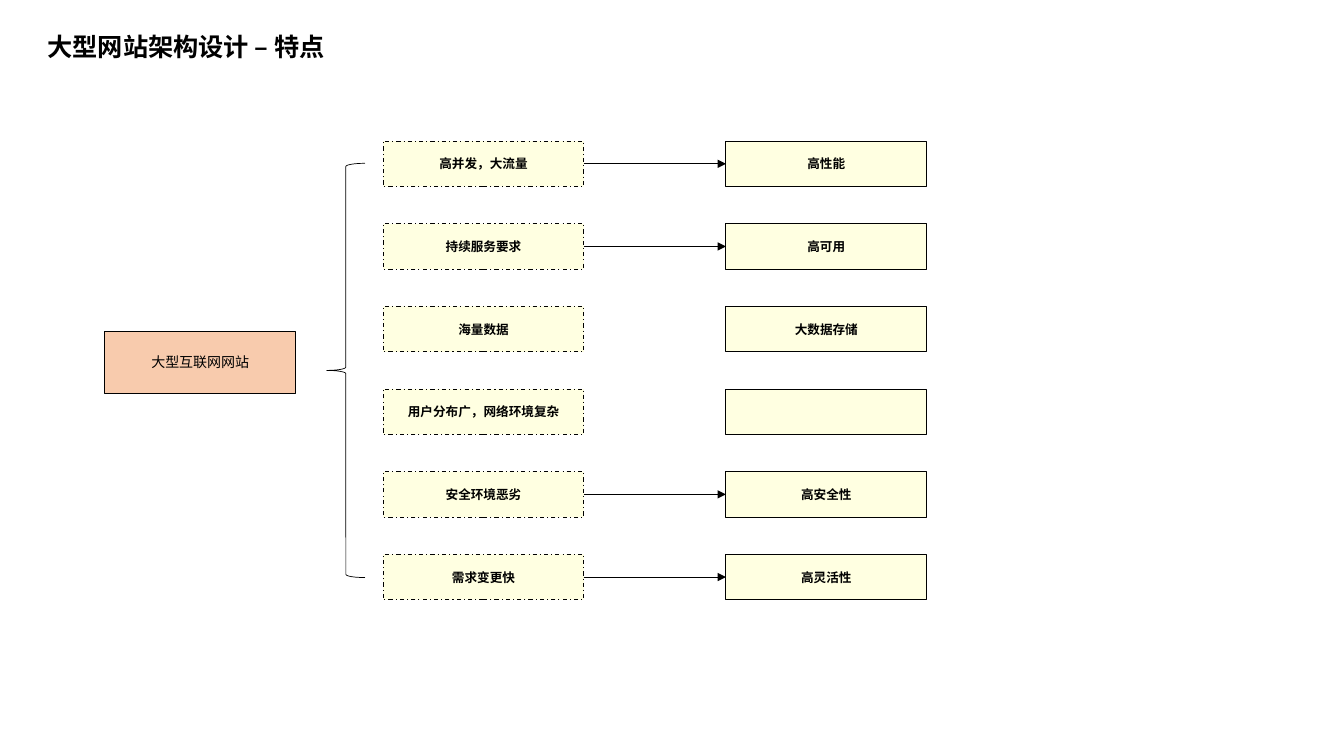
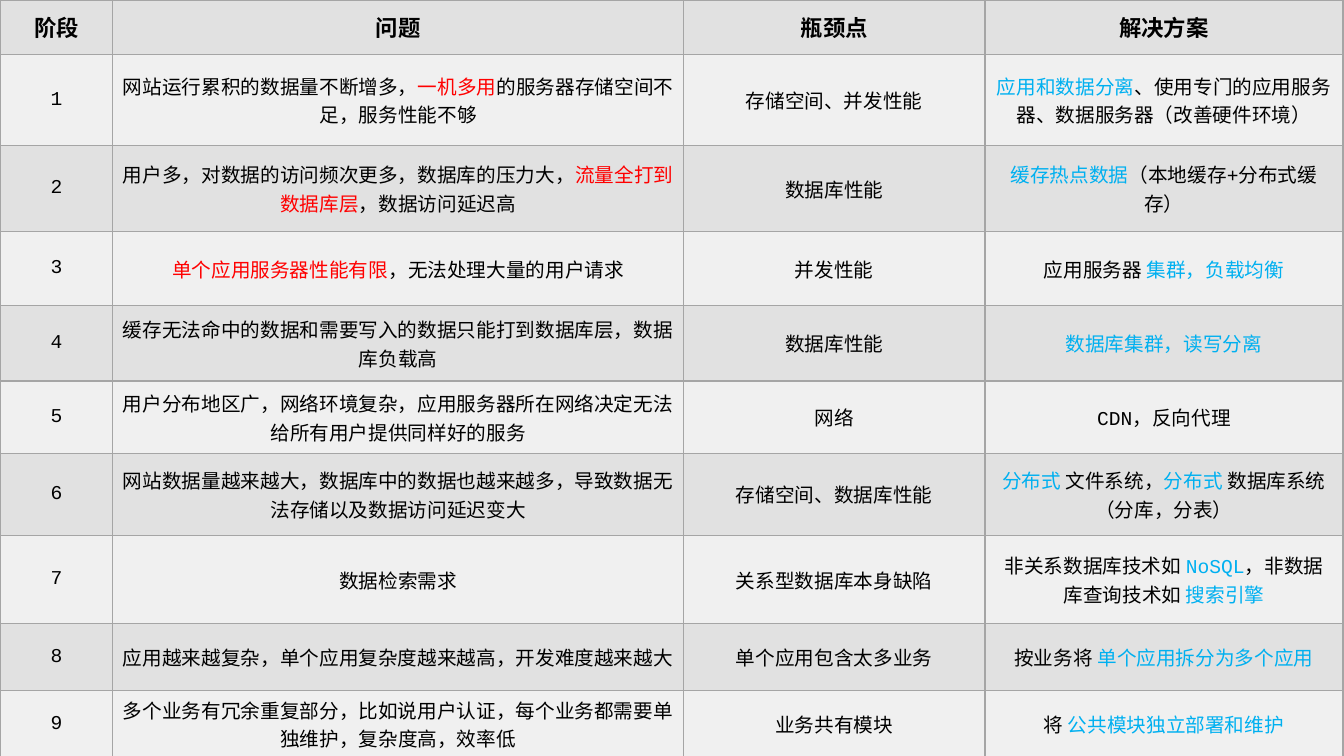
from lxml import etree
from pptx import Presentation
from pptx.dml.color import RGBColor
from pptx.enum import dml, shapes, text
from pptx.oxml.ns import qn
from pptx.util import Inches, Pt

# Shared look
BLACK = RGBColor(0x00, 0x00, 0x00)
RED = RGBColor(0xFF, 0x00, 0x00)
BLUE = RGBColor(0x00, 0xB0, 0xF0)
PEACH = RGBColor(0xF8, 0xCB, 0xAD)
CREAM = RGBColor(0xFF, 0xFF, 0xE1)
DARK = RGBColor(0xE1, 0xE1, 0xE1)
LIGHT = RGBColor(0xF0, 0xF0, 0xF0)
GREY = RGBColor(0xA5, 0xA5, 0xA5)
LATIN, ASIAN = "Courier New", "Noto Sans CJK SC"


def style(par, size, bold=False, align=text.PP_ALIGN.CENTER):
    par.alignment = align
    for run in par.runs:
        font = run.font
        font.size, font.bold, font.name = Pt(size), bold, LATIN
        font.color.rgb = BLACK
        etree.SubElement(run._r.get_or_add_rPr(), qn("a:ea"), typeface=ASIAN)


def add_box(left, top, width, height, words, fill, size, bold, dash=None):
    box = slide.shapes.add_shape(shapes.MSO_SHAPE.RECTANGLE, Inches(left),
                                 Inches(top), Inches(width), Inches(height))
    box.shadow.inherit = False
    box.fill.solid()
    box.fill.fore_color.rgb = fill
    box.line.color.rgb = BLACK
    box.line.width = Pt(0.75)
    box.line.dash_style = dash
    if words:
        frame = box.text_frame
        frame.text = words
        frame.vertical_anchor = text.MSO_ANCHOR.MIDDLE
        style(frame.paragraphs[0], size, bold)


prs = Presentation()
prs.slide_width, prs.slide_height = Inches(13.33), Inches(7.5)

# Slide 1: title
slide = prs.slides.add_slide(prs.slide_layouts[5])
title = slide.shapes.title
title.left, title.top = Inches(0.37), Inches(0.26)
title.width, title.height = Inches(3.72), Inches(0.4)
frame = title.text_frame
frame.text = "大型网站架构设计 – 特点"
frame.auto_size = text.MSO_AUTO_SIZE.NONE
frame.vertical_anchor = text.MSO_ANCHOR.MIDDLE
style(frame.paragraphs[0], 18, True, text.PP_ALIGN.JUSTIFY)

# Root box and brace
add_box(1.04, 3.29, 1.89, 0.61, "大型互联网网站", PEACH, 10, False)
brace = slide.shapes.add_shape(shapes.MSO_SHAPE.LEFT_BRACE, Inches(3.24),
                               Inches(1.62), Inches(0.38), Inches(4.11))
brace.shadow.inherit = False
brace.fill.background()
brace.line.color.rgb = BLACK
brace.line.width = Pt(0.5)

# Traits, goals and the arrows between them
TRAITS = [
    ("高并发，大流量", "高性能", True),
    ("持续服务要求", "高可用", True),
    ("海量数据", "大数据存储", False),
    ("用户分布广，网络环境复杂", "", False),
    ("安全环境恶劣", "高安全性", True),
    ("需求变更快", "高灵活性", True),
]
WIDE, HIGH, STEP = 1.99, 0.45, 0.82
FROM, GOAL = 3.8, 7.2
for row, (trait, goal, linked) in enumerate(TRAITS):
    top = 1.4 + row * STEP
    add_box(FROM, top, WIDE, HIGH, trait, CREAM, 9, True,
            dml.MSO_LINE.DASH_DOT)
    add_box(GOAL, top, WIDE, HIGH, goal, CREAM, 9, True)
    if linked:
        mid = Inches(top + HIGH / 2)
        arrow = slide.shapes.add_connector(
            shapes.MSO_CONNECTOR.STRAIGHT, Inches(FROM + WIDE), mid,
            Inches(GOAL), mid)
        arrow.line.color.rgb = BLACK
        arrow.line.width = Pt(0.5)
        etree.SubElement(arrow.line._get_or_add_ln(), qn("a:tailEnd"),
                         type="triangle")
        etree.SubElement(arrow._element.spPr, qn("a:effectLst"))

# Slide 2: table of stages; text between bars is highlighted
STAGES = [
    ("阶段", "问题", "瓶颈点", "解决方案"),
    ("1", "网站运行累积的数据量不断增多，|一机多用|的服务器存储空间不足，服务性能不够",
     "存储空间、并发性能",
     "|应用和数据分离|、使用专门的应用服务器、数据服务器（改善硬件环境）"),
    ("2", "用户多，对数据的访问频次更多，数据库的压力大，|流量全打到数据库层|，数据访问延迟高",
     "数据库性能", "|缓存热点数据|（本地缓存+分布式缓存）"),
    ("3", "|单个应用服务器性能有限|，无法处理大量的用户请求",
     "并发性能", "应用服务器 |集群，负载均衡"),
    ("4", "缓存无法命中的数据和需要写入的数据只能打到数据库层，数据库负载高",
     "数据库性能", "|数据库集群，读写分离"),
    ("5", "用户分布地区广，网络环境复杂，应用服务器所在网络决定无法给所有用户提供同样好的服务",
     "网络", "CDN，反向代理"),
    ("6", "网站数据量越来越大，数据库中的数据也越来越多，导致数据无法存储以及数据访问延迟变大",
     "存储空间、数据库性能",
     "|分布式 |文件系统，|分布式 |数据库系统（分库，分表）"),
    ("7", "数据检索需求", "关系型数据库本身缺陷",
     "非关系数据库技术如 |NoSQL|，非数据库查询技术如 |搜索引擎"),
    ("8", "应用越来越复杂，单个应用复杂度越来越高，开发难度越来越大",
     "单个应用包含太多业务", "按业务将 |单个应用拆分为多个应用"),
    ("9", "多个业务有冗余重复部分，比如说用户认证，每个业务都需要单独维护，复杂度高，效率低",
     "业务共有模块", "将 |公共模块独立部署和维护"),
]
WIDTHS = [1.12, 5.66, 2.99, 3.55]
HEIGHTS = [0.54, 0.9, 0.86, 0.73, 0.75, 0.72, 0.81, 0.88, 0.66, 0.66]
slide = prs.slides.add_slide(prs.slide_layouts[6])
table = slide.shapes.add_table(len(STAGES), len(WIDTHS), 0, 0,
                               prs.slide_width, prs.slide_height).table
for col, width in zip(table.columns, WIDTHS):
    col.width = Inches(width)
for row, height in zip(table.rows, HEIGHTS):
    row.height = Inches(height)

for r, stage in enumerate(STAGES):
    for c, words in enumerate(stage):
        cell = table.cell(r, c)
        cell.vertical_anchor = text.MSO_ANCHOR.MIDDLE
        # Borders precede the fill
        for side in ("lnL", "lnR", "lnT", "lnB"):
            edge = etree.SubElement(cell._tc.get_or_add_tcPr(),
                                    qn("a:" + side), w=str(Pt(1)))
            paint = etree.SubElement(edge, qn("a:solidFill"))
            etree.SubElement(paint, qn("a:srgbClr"), val=str(GREY))
        cell.fill.solid()
        cell.fill.fore_color.rgb = LIGHT if r % 2 else DARK
        par = cell.text_frame.paragraphs[0]
        marked = []
        for n, part in enumerate(words.split("|")):
            if part:
                run = par.add_run()
                run.text = part
                if n % 2:
                    marked.append(run)
        style(par, 14 if r else 16, r == 0)
        for run in marked:
            run.font.color.rgb = RED if c == 1 else BLUE

prs.save("out.pptx")
